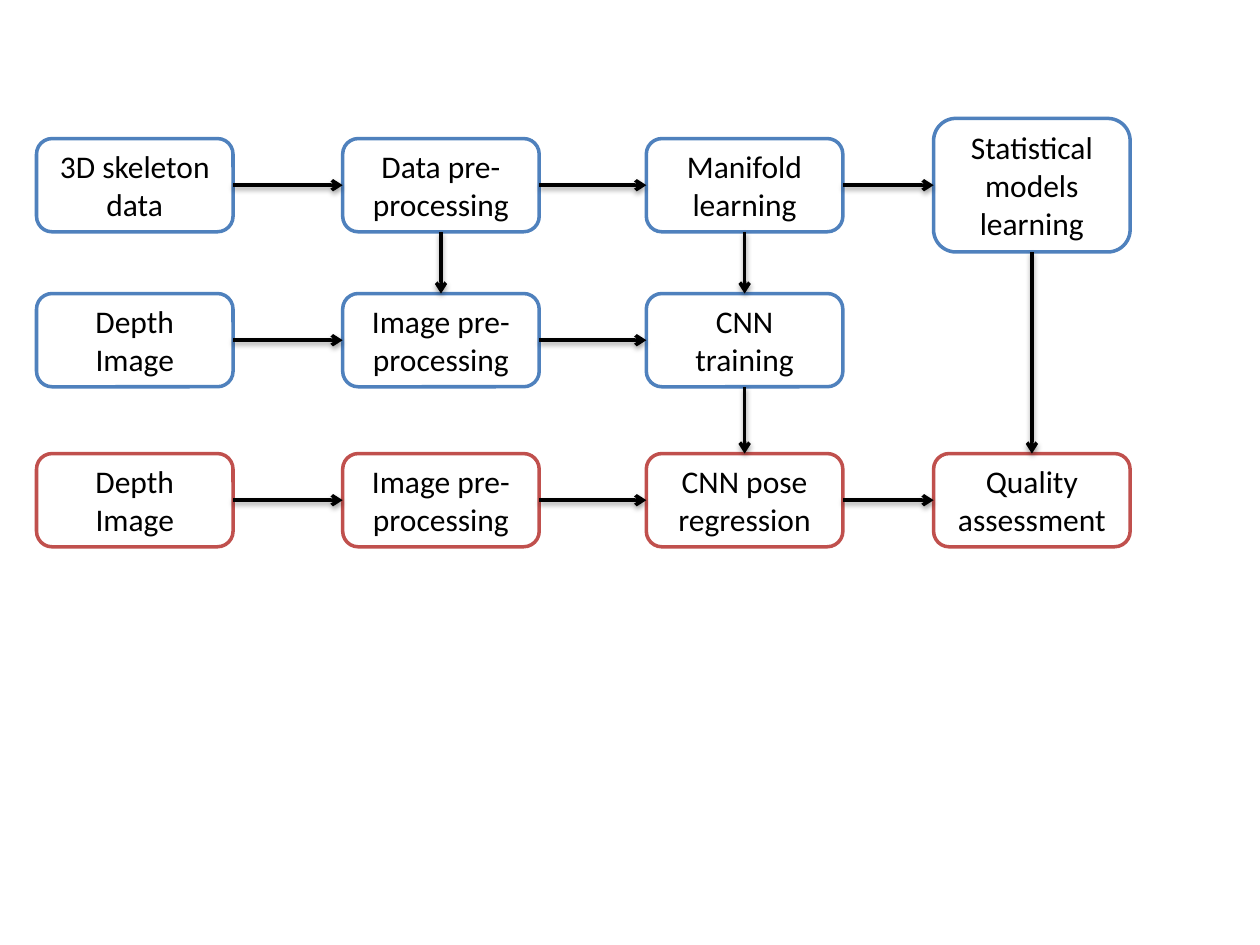
from dataclasses import dataclass

from lxml.etree import SubElement
from pptx import Presentation
from pptx.dml.color import RGBColor
from pptx.enum.shapes import MSO_CONNECTOR, MSO_SHAPE
from pptx.enum.text import MSO_ANCHOR, PP_ALIGN
from pptx.oxml import parse_xml
from pptx.oxml.ns import nsdecls, qn
from pptx.shapes.autoshape import Shape
from pptx.util import Inches, Pt

BLUE, RED, BLACK, WHITE = "4F81BD", "C0504D", "000000", "FFFFFF"
COLUMN_LEFTS = (0.29, 2.72, 5.13, 7.41)
ROW_MIDDLES = (1.47, 2.7, 3.97)
BOX_WIDTH = 1.56
LINE_WIDTH = 2
TOP, LEFT, BOTTOM, RIGHT = range(4)  # connection sites of a rounded rectangle


@dataclass(frozen=True)
class Step:
    key: str
    column: int
    row: int
    lines: tuple[str, ...]
    color: str = BLUE
    height: float = 0.74


@dataclass(frozen=True)
class Arrow:
    start: str
    end: str
    down: bool = False


STEPS = (
    Step("skeleton", 0, 0, ("3D skeleton", "data")),
    Step("data", 1, 0, ("Data pre-", "processing")),
    Step("manifold", 2, 0, ("Manifold", "learning")),
    Step("models", 3, 0, ("Statistical", "models", "learning"), height=1.06),
    Step("training depth", 0, 1, ("Depth Image",)),
    Step("training image", 1, 1, ("Image pre-", "processing")),
    Step("training", 2, 1, ("CNN", "training")),
    Step("test depth", 0, 2, ("Depth Image",), RED),
    Step("test image", 1, 2, ("Image pre-", "processing"), RED),
    Step("regression", 2, 2, ("CNN pose regression",), RED),
    Step("quality", 3, 2, ("Quality assessment",), RED),
)

ARROWS = (
    Arrow("skeleton", "data"),
    Arrow("data", "manifold"),
    Arrow("manifold", "models"),
    Arrow("training depth", "training image"),
    Arrow("training image", "training"),
    Arrow("test depth", "test image"),
    Arrow("test image", "regression"),
    Arrow("regression", "quality"),
    Arrow("data", "training image", down=True),
    Arrow("manifold", "training", down=True),
    Arrow("training", "regression", down=True),
    Arrow("models", "quality", down=True),
)


def rgb(color: str) -> RGBColor:
    return RGBColor.from_string(color)


def add_step(slide, step: Step) -> Shape:
    shape = slide.shapes.add_shape(
        MSO_SHAPE.ROUNDED_RECTANGLE,
        Inches(COLUMN_LEFTS[step.column]),
        Inches(ROW_MIDDLES[step.row] - step.height / 2),
        Inches(BOX_WIDTH),
        Inches(step.height),
    )
    shape.shadow.inherit = False
    shape.fill.solid()
    shape.fill.fore_color.rgb = rgb(WHITE)
    shape.line.color.rgb = rgb(step.color)
    shape.line.width = Pt(LINE_WIDTH)

    frame = shape.text_frame
    frame.word_wrap = True
    frame.vertical_anchor = MSO_ANCHOR.MIDDLE
    for index, line in enumerate(step.lines):
        paragraph = frame.add_paragraph() if index else frame.paragraphs[0]
        paragraph.alignment = PP_ALIGN.CENTER
        run = paragraph.add_run()
        run.text = line
        run.font.name = "Calibri"
        run.font.size = Pt(18)
        run.font.color.rgb = rgb(BLACK)
    return shape


def add_arrow(slide, arrow: Arrow, boxes: dict[str, Shape]) -> None:
    connector = slide.shapes.add_connector(MSO_CONNECTOR.STRAIGHT, 0, 0, 0, 0)
    connector.begin_connect(boxes[arrow.start], BOTTOM if arrow.down else RIGHT)
    connector.end_connect(boxes[arrow.end], TOP if arrow.down else LEFT)
    connector.line.color.rgb = rgb(BLACK)
    connector.line.width = Pt(LINE_WIDTH)

    # Arrowhead and soft shadow below the line
    properties = connector.element.spPr
    SubElement(properties.find(qn("a:ln")), qn("a:tailEnd"), type="arrow")
    properties.append(parse_xml(
        f'<a:effectLst {nsdecls("a")}>'
        f'<a:outerShdw blurRad="{Pt(3.1)}" dist="{Pt(1.6)}" dir="5400000" rotWithShape="0">'
        f'<a:srgbClr val="{BLACK}"><a:alpha val="38000"/></a:srgbClr>'
        '</a:outerShdw></a:effectLst>'
    ))


def main() -> None:
    presentation = Presentation()
    presentation.slide_width = Inches(10)
    presentation.slide_height = Inches(7.5)
    slide = presentation.slides.add_slide(presentation.slide_layouts[6])

    # Process steps
    boxes = {step.key: add_step(slide, step) for step in STEPS}

    # Flow between the steps
    for arrow in ARROWS:
        add_arrow(slide, arrow, boxes)

    presentation.save("out.pptx")


main()
